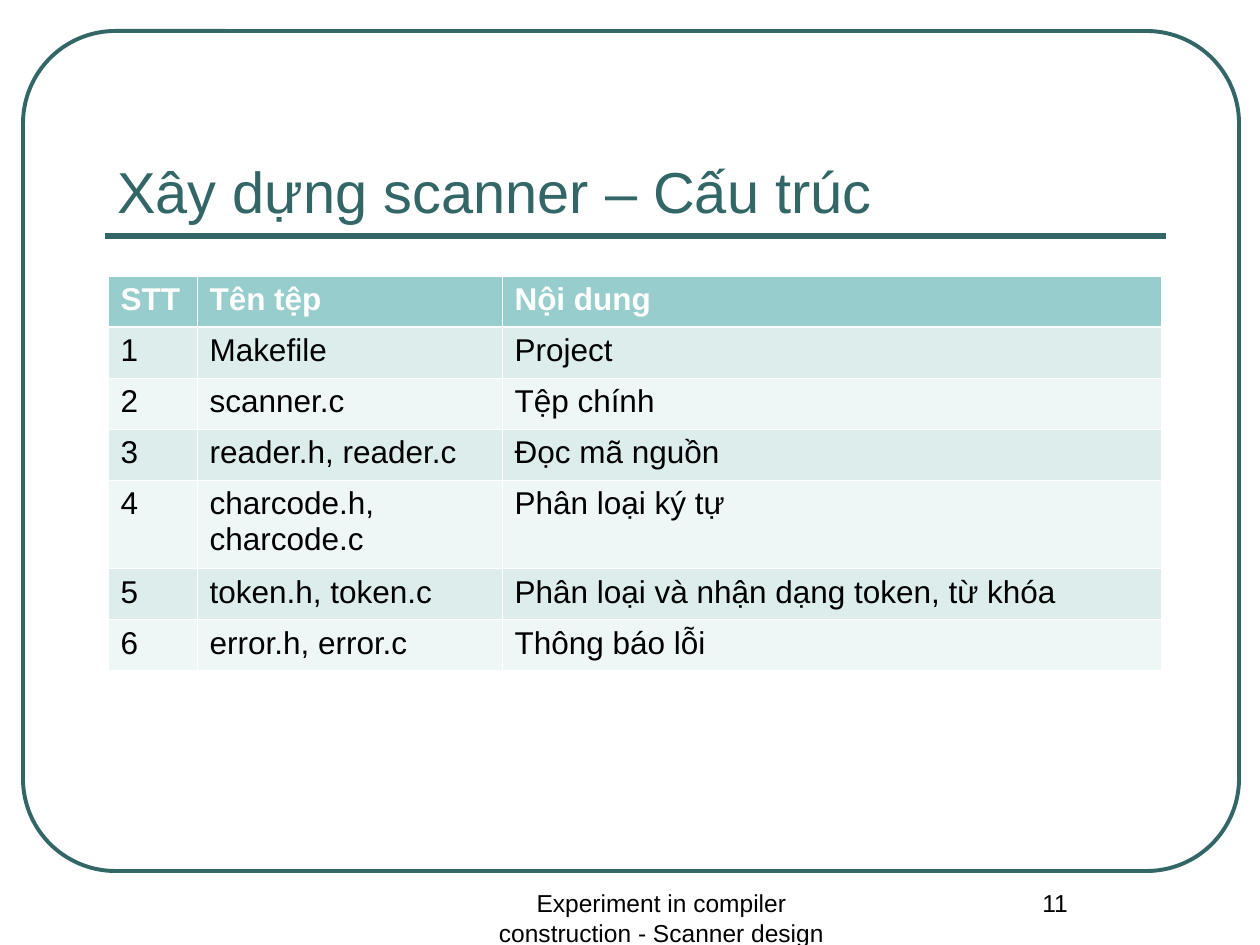
from pptx import Presentation
from pptx.dml.color import RGBColor
from pptx.enum.shapes import MSO_CONNECTOR, MSO_SHAPE
from pptx.enum.text import MSO_ANCHOR, PP_ALIGN
from pptx.oxml.ns import qn
from pptx.util import Emu, Pt
from lxml.etree import SubElement

TITLE = "Xây dựng scanner – Cấu trúc"
FOOTER = "Experiment in compiler construction - Scanner design"
PAGE = "11"
HEADER = ("STT", "Tên tệp", "Nội dung")
FILES = [
    ("Makefile", "Project"),
    ("scanner.c", "Tệp chính"),
    ("reader.h, reader.c", "Đọc mã nguồn"),
    ("charcode.h, charcode.c", "Phân loại ký tự"),
    ("token.h, token.c", "Phân loại và nhận dạng token, từ khóa"),
    ("error.h, error.c", "Thông báo lỗi"),
]
COL_WIDTHS = (89, 305, 659)
ROW_HEIGHT, TALL_ROW_HEIGHT, TALL_ROW = 51, 88, 4

THEME = {
    "font": "Arial", "title": 33, "body": 18, "footer": 14,
    "accent": "336666", "text": "000000", "white": "FFFFFF",
    "header": "97CDCC", "bands": ("EFF6F6", "DDEDEC"),
    "frame": 2.25, "rule": 3, "grid": 0.45, "header_rule": 1.47,
}


def px(n):
    return Emu(round(n * 914400 / 126))


def rgb(name):
    return RGBColor.from_string(THEME.get(name, name))


def style(p, size, color, bold=False):
    f = p.font
    f.name, f.size, f.bold = THEME["font"], Pt(THEME[size]), bold
    f.color.rgb = rgb(color)


def add_text(s, text, box, size, color, align=PP_ALIGN.LEFT, anchor=MSO_ANCHOR.TOP):
    tf = s.shapes.add_textbox(*map(px, box)).text_frame
    tf.word_wrap, tf.vertical_anchor = True, anchor
    p = tf.paragraphs[0]
    p.text, p.alignment = text, align
    style(p, size, color)


def set_borders(cell, row):
    tcPr = cell._tc.get_or_add_tcPr()
    for side in "LRTB":
        heavy = (row, side) in ((0, "B"), (1, "T"))
        width = Pt(THEME["header_rule" if heavy else "grid"])
        ln = SubElement(tcPr, qn(f"a:ln{side}"), w=str(width))
        fill = SubElement(ln, qn("a:solidFill"))
        SubElement(fill, qn("a:srgbClr"), val=THEME["white"])


def add_table(s, left, top):
    rows = [HEADER] + [(str(i), *f) for i, f in enumerate(FILES, 1)]
    heights = [TALL_ROW_HEIGHT if i == TALL_ROW else ROW_HEIGHT for i in range(len(rows))]
    size = (len(rows), len(HEADER))
    box = (left, top, sum(COL_WIDTHS), sum(heights))
    table = s.shapes.add_table(*size, *map(px, box)).table
    for col, width in zip(table.columns, COL_WIDTHS):
        col.width = px(width)
    for i, values in enumerate(rows):
        table.rows[i].height = px(heights[i])
        for j, value in enumerate(values):
            cell = table.cell(i, j)
            set_borders(cell, i)
            cell.fill.solid()
            cell.fill.fore_color.rgb = rgb(THEME["bands"][i % 2] if i else "header")
            p = cell.text_frame.paragraphs[0]
            p.text = value
            style(p, "body", "text" if i else "white", bold=i == 0)


prs = Presentation()
prs.slide_width, prs.slide_height = px(1260), px(945)
s = prs.slides.add_slide(prs.slide_layouts[6])

frame = s.shapes.add_shape(MSO_SHAPE.ROUNDED_RECTANGLE, *map(px, (23, 31, 1216, 840)))
frame.adjustments[0] = 0.11
frame.shadow.inherit = False
frame.fill.background()
frame.line.color.rgb = rgb("accent")
frame.line.width = Pt(THEME["frame"])

rule = s.shapes.add_connector(MSO_CONNECTOR.STRAIGHT, *map(px, (105, 236, 1166, 236)))
rule.line.color.rgb = rgb("accent")
rule.line.width = Pt(THEME["rule"])
SubElement(rule._element.spPr, qn("a:effectLst"))

add_text(s, FOOTER, (462, 882, 399, 63), "footer", "text", PP_ALIGN.CENTER)
add_text(s, PAGE, (945, 882, 220, 63), "footer", "text", PP_ALIGN.CENTER)
add_text(s, TITLE, (105, 73, 1061, 158), "title", "accent", anchor=MSO_ANCHOR.BOTTOM)
add_table(s, 108, 276)

prs.save("out.pptx")
